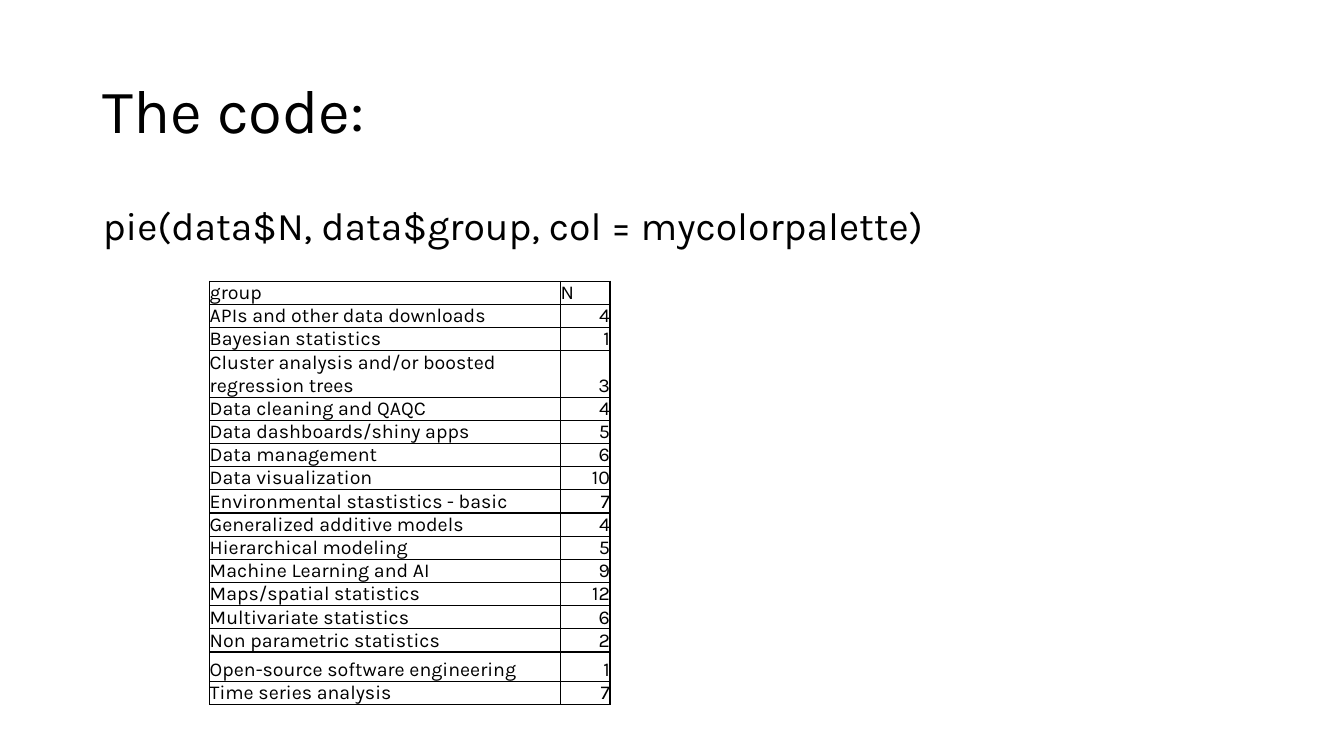
from dataclasses import dataclass

from lxml.etree import SubElement
from pptx import Presentation
from pptx.dml.color import RGBColor
from pptx.enum.text import MSO_ANCHOR, MSO_AUTO_SIZE, PP_ALIGN
from pptx.oxml.ns import qn
from pptx.util import Inches, Pt

COLORS = {"ink": "000000"}
FONT = "Karla"


@dataclass
class Heading:
    text: str
    top: float
    height: float
    size: int
    anchor: MSO_ANCHOR
    before: int


@dataclass
class Entry:
    group: str
    count: str
    height: float = 0.23


TITLE = Heading("The code:", 0.4, 1.45, 44, MSO_ANCHOR.MIDDLE, 0)
CODE = Heading("pie(data$N, data$group, col = mycolorpalette)", 2, 0.76, 28,
               MSO_ANCHOR.TOP, 10)
ENTRIES = [
    Entry("group", "N"),
    Entry("APIs and other data downloads", "4"),
    Entry("Bayesian statistics", "1"),
    Entry("Cluster analysis and/or boosted regression trees", "3", 0.46),
    Entry("Data cleaning and QAQC", "4"),
    Entry("Data dashboards/shiny apps", "5"),
    Entry("Data management", "6"),
    Entry("Data visualization", "10"),
    Entry("Environmental stastistics - basic", "7"),
    Entry("Generalized additive models", "4"),
    Entry("Hierarchical modeling", "5"),
    Entry("Machine Learning and AI", "9"),
    Entry("Maps/spatial statistics", "12"),
    Entry("Multivariate statistics", "6"),
    Entry("Non parametric statistics", "2"),
    Entry("Open-source software engineering", "1", 0.29),
    Entry("Time series analysis", "7"),
]
WIDTHS = (3.48, 0.49)


def style(frame, size: int, align: PP_ALIGN) -> None:
    para = frame.paragraphs[0]
    para.alignment = align
    font = para.runs[0].font
    font.name = FONT
    font.size = Pt(size)
    font.color.rgb = RGBColor.from_string(COLORS["ink"])


def place(shape, item: Heading) -> None:
    shape.left, shape.top = Inches(0.92), Inches(item.top)
    shape.width, shape.height = Inches(11.5), Inches(item.height)
    frame = shape.text_frame
    frame.text = item.text
    frame.auto_size = MSO_AUTO_SIZE.NONE
    frame.vertical_anchor = item.anchor
    para = frame.paragraphs[0]
    para.line_spacing = 0.9
    para.space_before = Pt(item.before)
    style(frame, item.size, PP_ALIGN.LEFT)
    props = para._p.get_or_add_pPr()
    props.set("marL", "0")
    props.set("indent", "0")
    SubElement(props, qn("a:buNone"))


def border(cell) -> None:
    props = cell._tc.get_or_add_tcPr()
    for side in ("L", "R", "T", "B"):
        line = SubElement(props, qn(f"a:ln{side}"), w=str(Pt(1)))
        fill = SubElement(line, qn("a:solidFill"))
        SubElement(fill, qn("a:srgbClr"), val=COLORS["ink"])


def fill_cell(cell, text: str, align: PP_ALIGN) -> None:
    cell.text = text
    cell.margin_left = cell.margin_right = Inches(0)
    cell.margin_top = cell.margin_bottom = Inches(0)
    cell.vertical_anchor = MSO_ANCHOR.BOTTOM
    style(cell.text_frame, 14, align)
    border(cell)
    cell.fill.background()


def add_counts(slide) -> None:
    high = sum(entry.height for entry in ENTRIES)
    table = slide.shapes.add_table(
        len(ENTRIES), len(WIDTHS), Inches(2.08), Inches(2.79),
        Inches(sum(WIDTHS)), Inches(high)).table
    table.first_row = table.horz_banding = False
    for column, width in zip(table.columns, WIDTHS):
        column.width = Inches(width)
    for index, entry in enumerate(ENTRIES):
        table.rows[index].height = Inches(entry.height)
        align = PP_ALIGN.RIGHT if index else PP_ALIGN.LEFT
        fill_cell(table.cell(index, 0), entry.group, PP_ALIGN.LEFT)
        fill_cell(table.cell(index, 1), entry.count, align)


def main() -> None:
    deck = Presentation()
    deck.slide_width, deck.slide_height = Inches(13.33), Inches(7.5)
    slide = deck.slides.add_slide(deck.slide_layouts[1])
    place(slide.shapes.title, TITLE)
    place(slide.placeholders[1], CODE)
    add_counts(slide)
    deck.save("out.pptx")


if __name__ == "__main__":
    main()
